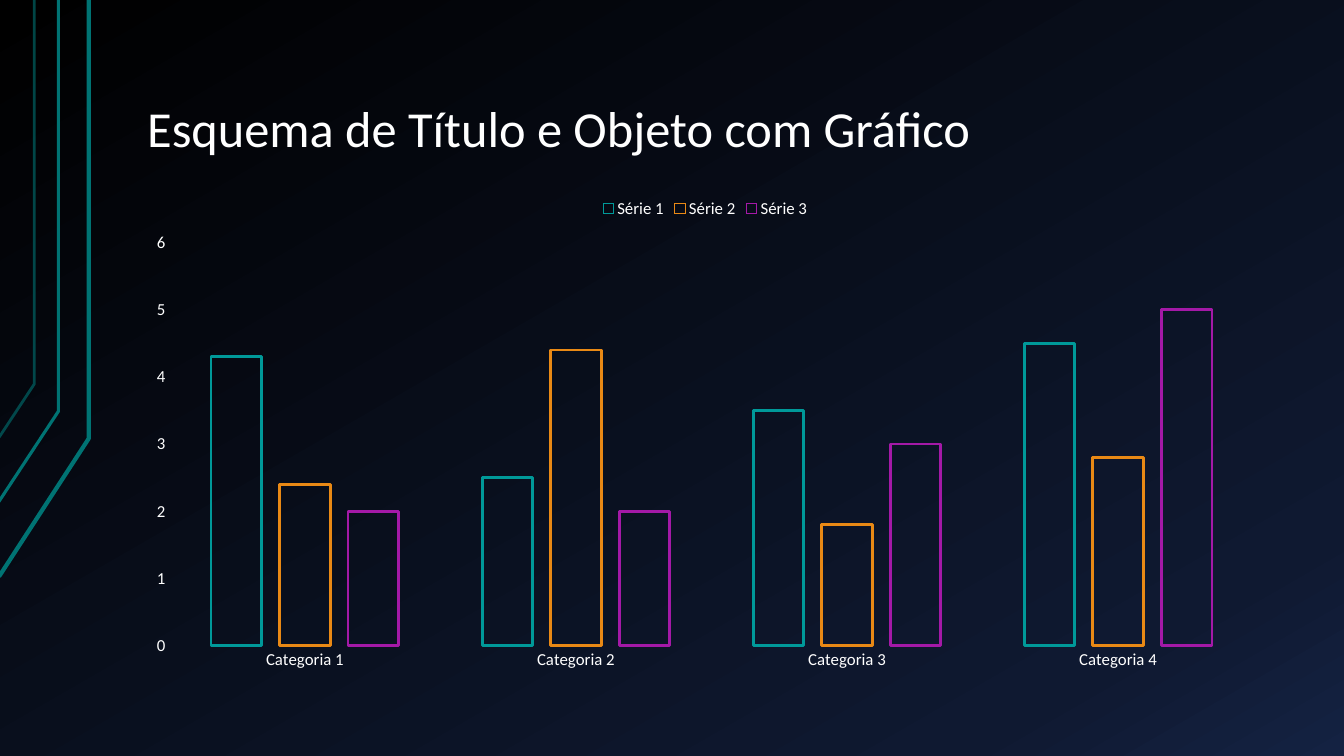
import pptx
import pptx.chart.data
import pptx.dml.color
import pptx.enum.chart
import pptx.enum.text
import pptx.oxml
import pptx.oxml.ns
import pptx.util
from pptx.util import Inches

RGBColor = pptx.dml.color.RGBColor
WHITE = RGBColor(0xFF, 0xFF, 0xFF)
DARK_TEAL = RGBColor(0x00, 0x73, 0x73)
TEAL = RGBColor(0x00, 0x99, 0x99)
ORANGE = RGBColor(0xE9, 0x89, 0x15)
PURPLE = RGBColor(0xA4, 0x19, 0xA7)
BLACK = RGBColor(0x00, 0x00, 0x00)
NIGHT = RGBColor(0x0F, 0x19, 0x31)
NAVY = RGBColor(0x14, 0x22, 0x42)
FONT = "Calibri"

# Content
HEADLINE = "Esquema de Título e Objeto com Gráfico"
CATEGORIES = ["Categoria 1", "Categoria 2", "Categoria 3", "Categoria 4"]
SERIES = [
    ("Série 1", (4.3, 2.5, 3.5, 4.5), TEAL),
    ("Série 2", (2.4, 4.4, 1.8, 2.8), ORANGE),
    ("Série 3", (2, 2, 3, 5), PURPLE),
]
BACKDROP_STOPS = [(0, BLACK), (85, NIGHT), (100, NAVY)]  # percent, colour
BACKDROP_ANGLE = 60
# Points in inches, line width in points, opacity in percent
EDGE_LINES = [
    ([(-0.01, 5.72), (0.88, 4.35), (0.88, 0)], 3, 100),
    ([(-0.02, 4.99), (0.58, 4.08), (0.58, 0)], 2.25, 100),
    ([(-0.01, 4.34), (0.34, 3.81), (0.34, 0)], 2, 60),
]
LEFT, WIDTH = Inches(1.33), Inches(11.33)


def style_font(font, size):
    font.name = FONT
    font.size = pptx.util.Pt(size)
    font.color.rgb = WHITE


presentation = pptx.Presentation()
presentation.slide_width = Inches(13.33)
presentation.slide_height = Inches(7.5)
slide = presentation.slides.add_slide(presentation.slide_layouts[6])
qn = pptx.oxml.ns.qn

# Background gradient
slide.background.fill.gradient()
gradient = slide.element.find(".//" + qn("a:gradFill"))
for part in list(gradient):
    gradient.remove(part)
namespace = pptx.oxml.ns.nsdecls("a")
stops = "".join(
    f'<a:gs pos="{percent * 1000}"><a:srgbClr val="{color}"/></a:gs>'
    for percent, color in BACKDROP_STOPS
)
gradient.append(pptx.oxml.parse_xml(f"<a:gsLst {namespace}>{stops}</a:gsLst>"))
gradient.append(pptx.oxml.parse_xml(
    f'<a:lin {namespace} ang="{BACKDROP_ANGLE * 60000}" scaled="0"/>'))

# Lines along the left edge
for points, width, opacity in EDGE_LINES:
    start, *rest = [(Inches(x), Inches(y)) for x, y in points]
    builder = slide.shapes.build_freeform(*start)
    builder.add_line_segments(rest, close=False)
    edge = builder.convert_to_shape()
    edge.shadow.inherit = False
    edge.fill.background()
    edge.line.color.rgb = DARK_TEAL
    edge.line.width = pptx.util.Pt(width)
    if opacity < 100:
        color = edge.line._ln.find(".//" + qn("a:srgbClr"))
        color.append(pptx.oxml.parse_xml(
            f'<a:alpha {namespace} val="{opacity * 1000}"/>'))

# Title
title = slide.shapes.add_textbox(LEFT, Inches(0.3), WIDTH, Inches(1.34))
frame = title.text_frame
frame.word_wrap = True
frame.vertical_anchor = pptx.enum.text.MSO_ANCHOR.BOTTOM
frame.margin_left = frame.margin_right = Inches(0.13)
frame.margin_top = frame.margin_bottom = Inches(0.07)
frame.paragraphs[0].line_spacing = 0.9
headline = frame.paragraphs[0].add_run()
headline.text = HEADLINE
style_font(headline.font, 36)

# Column chart
data = pptx.chart.data.CategoryChartData()
data.categories = CATEGORIES
for name, values, color in SERIES:
    data.add_series(name, values)
chart = slide.shapes.add_chart(
    pptx.enum.chart.XL_CHART_TYPE.COLUMN_CLUSTERED,
    LEFT, Inches(1.86), WIDTH, Inches(4.88), data).chart
chart.has_title = False
style_font(chart.font, 10)

plot = chart.plots[0]
plot.gap_width = 164
plot.overlap = -35
plot.vary_by_categories = False
for series, (name, values, color) in zip(plot.series, SERIES):
    series.format.fill.background()
    series.format.line.color.rgb = color
    series.format.line.width = pptx.util.Pt(2)

chart.has_legend = True
chart.legend.position = pptx.enum.chart.XL_LEGEND_POSITION.TOP
chart.legend.include_in_layout = False
style_font(chart.legend.font, 12)

# Axes
for axis in (chart.category_axis, chart.value_axis):
    axis.has_major_gridlines = False
    axis.major_tick_mark = pptx.enum.chart.XL_TICK_MARK.NONE
    axis.minor_tick_mark = pptx.enum.chart.XL_TICK_MARK.NONE
    axis.format.line.fill.background()
    style_font(axis.tick_labels.font, 12)
chart.value_axis.minimum_scale = 0
chart.value_axis.maximum_scale = 6
chart.value_axis.major_unit = 1

presentation.save("out.pptx")
